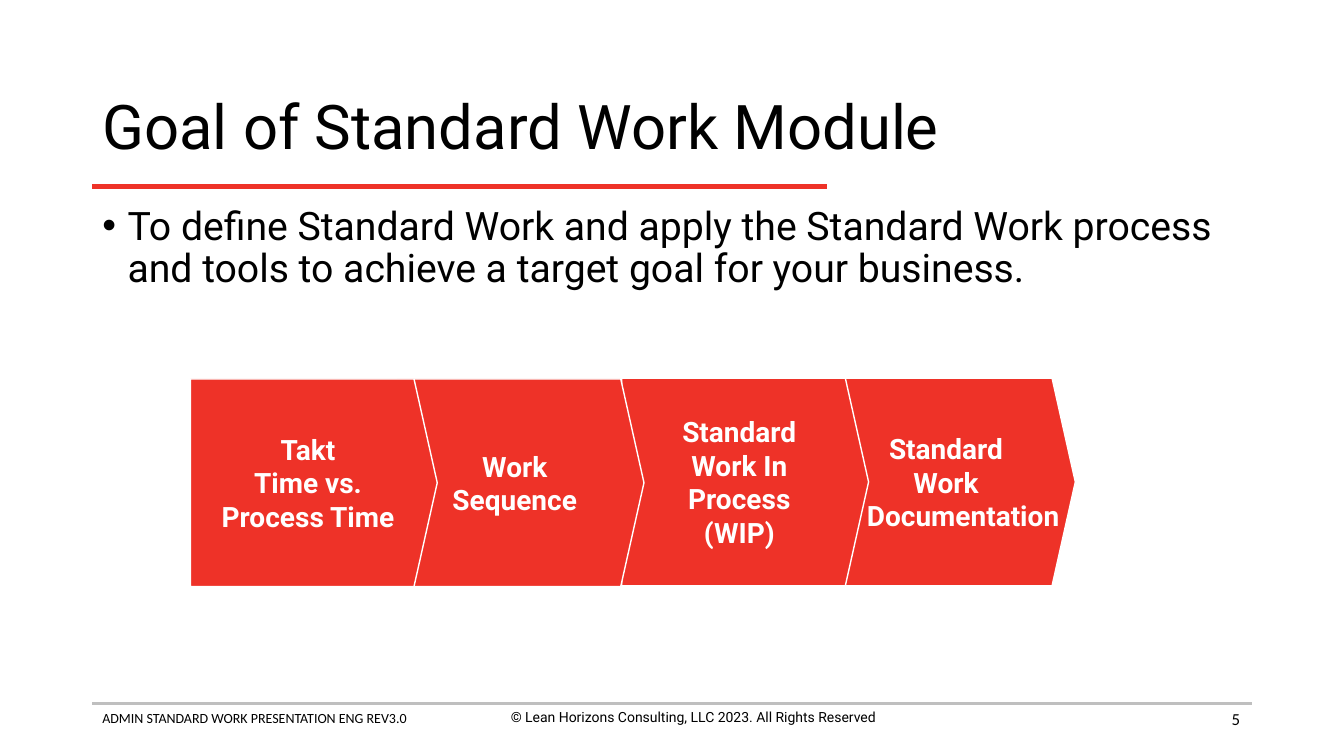
from lxml.etree import SubElement
from pptx import Presentation
from pptx.dml.color import RGBColor
from pptx.enum.shapes import MSO_CONNECTOR, MSO_SHAPE
from pptx.enum.text import MSO_ANCHOR, PP_ALIGN
from pptx.oxml.ns import qn
from pptx.util import Cm, Pt

RED = RGBColor(0xEE, 0x32, 0x28)
GRAY = RGBColor(0xBF, 0xBF, 0xBF)
BLACK = RGBColor(0, 0, 0)
WHITE = RGBColor(0xFF, 0xFF, 0xFF)

LEFT, WIDTH = 2.33, 29.21


class ModuleSlide:
    """Draws the elements of one slide in a shared style."""

    heading_font = "Roboto"
    footer_font = "Calibri"

    def __init__(self, slide):
        self.shapes = slide.shapes

    def style(self, paragraph, size, color, font=None, bold=False):
        paragraph.font.name = font or self.heading_font
        paragraph.font.size = Pt(size)
        paragraph.font.color.rgb = color
        paragraph.font.bold = bold

    def rule(self, top, width, color, weight):
        line = self.shapes.add_connector(
            MSO_CONNECTOR.STRAIGHT, Cm(LEFT), Cm(top), Cm(LEFT + width), Cm(top))
        line.line.color.rgb = color
        line.line.width = Pt(weight)
        SubElement(line._element.spPr, qn("a:effectLst"))

    def text(self, words, box, size, font=None, align=PP_ALIGN.LEFT,
             anchor=MSO_ANCHOR.TOP, spacing=1.0, bullet=False):
        frame = self.shapes.add_textbox(*map(Cm, box)).text_frame
        frame.word_wrap = True
        frame.vertical_anchor = anchor
        paragraph = frame.paragraphs[0]
        paragraph.text = words
        paragraph.alignment = align
        paragraph.line_spacing = spacing
        if bullet:
            properties = paragraph._p.get_or_add_pPr()
            properties.set("marL", str(Cm(0.635)))
            properties.set("indent", str(Cm(-0.635)))
            SubElement(properties, qn("a:buFont"), typeface="Arial")
            SubElement(properties, qn("a:buChar"), char="•")
        self.style(paragraph, size, BLACK, font)

    def step(self, lines, left, top, last_indent):
        arrow = self.shapes.add_shape(
            MSO_SHAPE.PENTAGON, Cm(left), Cm(top), Cm(6.22), Cm(5.23))
        arrow.adjustments[0] = 0.112
        arrow.shadow.inherit = False
        arrow.fill.solid()
        arrow.fill.fore_color.rgb = RED
        arrow.line.color.rgb = WHITE
        arrow.line.width = Pt(1)
        frame = arrow.text_frame
        frame.word_wrap = False
        frame.vertical_anchor = MSO_ANCHOR.MIDDLE
        frame.text = "\n".join(lines)
        for paragraph in frame.paragraphs:
            paragraph.alignment = PP_ALIGN.CENTER
            self.style(paragraph, 20, WHITE, bold=True)
        if last_indent:
            properties = frame.paragraphs[-1]._p.get_or_add_pPr()
            properties.set("marL", str(Cm(last_indent)))


def main():
    deck = Presentation()
    deck.slide_width, deck.slide_height = Cm(33.87), Cm(19.05)
    page = ModuleSlide(deck.slides.add_slide(deck.slide_layouts[6]))

    page.rule(17.73, WIDTH, GRAY, 2)
    page.text("ADMIN STANDARD WORK PRESENTATION ENG REV3.0",
              (LEFT, 17.75, 11.58, 1.12), 10, page.footer_font)
    page.text("© Lean Horizons Consulting, LLC 2023. All Rights Reserved",
              (11.68, 17.73, 11.58, 1.12), 10, align=PP_ALIGN.CENTER)
    page.text("5", (23.88, 17.6, 7.62, 1.02), 12, page.footer_font,
              PP_ALIGN.RIGHT, MSO_ANCHOR.MIDDLE)

    page.rule(4.7, 18.5, RED, 3)
    page.text("Goal of Standard Work Module", (LEFT, 1.88, WIDTH, 2.79), 44,
              anchor=MSO_ANCHOR.MIDDLE, spacing=0.9)
    page.text("To define Standard Work and apply the Standard Work process "
              "and tools to achieve a target goal for your business.",
              (LEFT, 5.08, WIDTH, 12.09), 28, spacing=0.9, bullet=True)

    steps = [
        (("Standard", "Work", "Documentation"), 20.88, 9.53, 0.86),
        (("Standard", "Work In", "Process", "(WIP)"), 15.67, 9.53, 0),
        (("Work", "Sequence"), 10.01, 9.55, 0),
        (("Takt", "Time vs.", "Process Time"), 4.8, 9.55, 0),
    ]
    for lines, left, top, last_indent in steps:
        page.step(lines, left, top, last_indent)

    deck.save("out.pptx")


if __name__ == "__main__":
    main()
